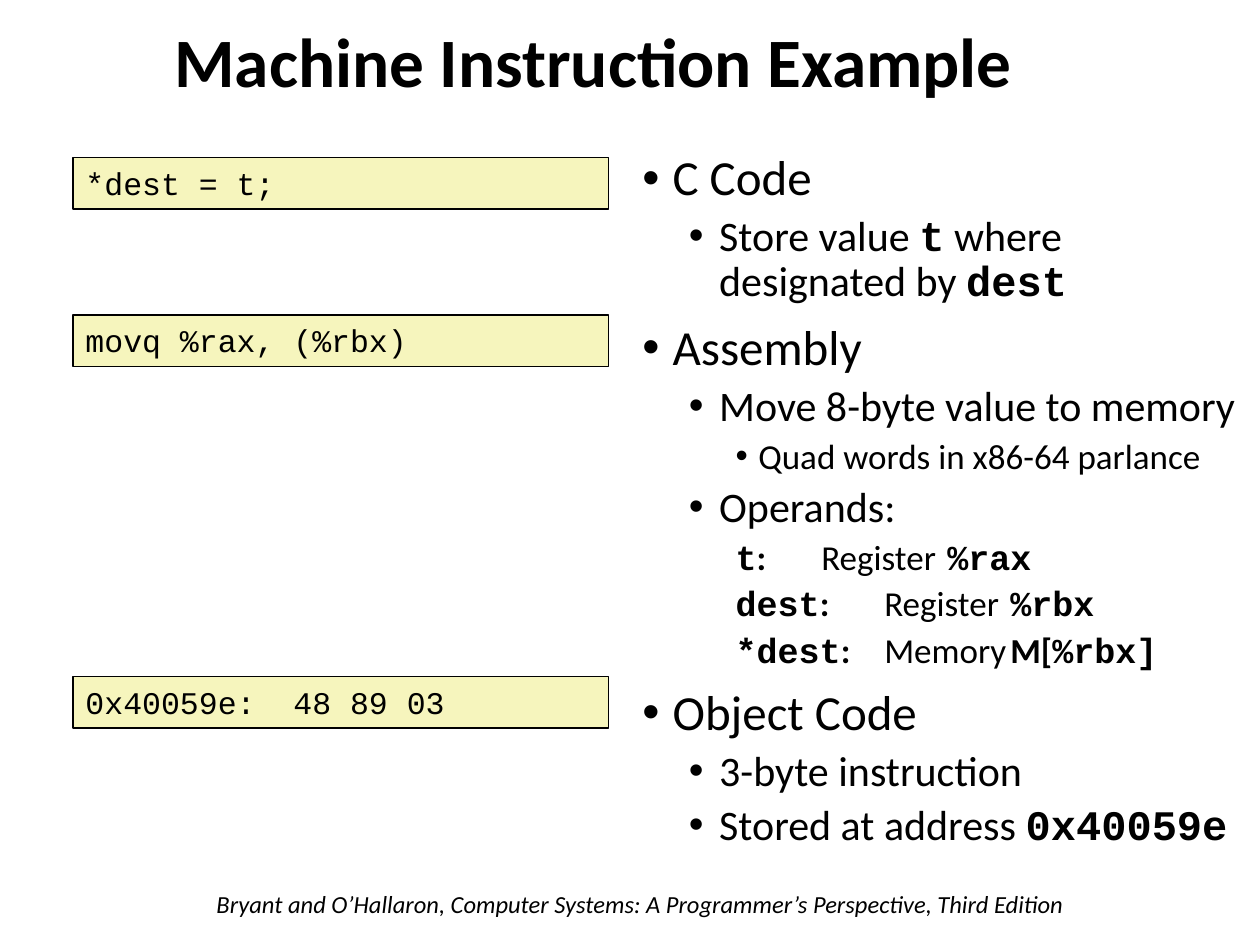
from pptx import Presentation
from pptx.dml.color import RGBColor
from pptx.enum.shapes import MSO_SHAPE
from pptx.enum.text import MSO_ANCHOR, PP_ALIGN
from pptx.oxml.ns import qn
from pptx.util import Inches, Pt
from lxml import etree

RECT = MSO_SHAPE.RECTANGLE
TOP, MIDDLE = MSO_ANCHOR.TOP, MSO_ANCHOR.MIDDLE
LEFT, CENTER = PP_ALIGN.LEFT, PP_ALIGN.CENTER
SANS, MONO = "Calibri", "Courier New"


def color(value):
    return RGBColor.from_string(value)


def add_run(p, text, size, font=SANS, bold=False, italic=False):
    r = p.add_run()
    r.text = text
    r.font.name, r.font.size = font, Pt(size)
    r.font.bold, r.font.italic = bold, italic
    r.font.color.rgb = color("000000")


prs = Presentation()
prs.slide_width, prs.slide_height = Inches(10), Inches(7.5)
s = prs.slides.add_slide(prs.slide_layouts[6])

# Footer citation
tf = s.shapes.add_textbox(Inches(1.62), Inches(7.01), Inches(7.1), Inches(0.34)).text_frame
tf.word_wrap = True
add_run(tf.paragraphs[0],
        "Bryant and O’Hallaron, Computer Systems: A Programmer’s Perspective, Third Edition",
        14, italic=True)

# Title
tf = s.shapes.add_textbox(Inches(0.74), Inches(0.2), Inches(7.94), Inches(0.63)).text_frame
tf.word_wrap = True
tf.vertical_anchor = MIDDLE
p = tf.paragraphs[0]
p.alignment, p.line_spacing = CENTER, 0.9
add_run(p, "Machine Instruction Example", 39.6, bold=True)

# Explanation: (level, bulleted, runs), each run being (text, font, bold)
points = [
    (0, True, [("C Code", SANS, False)]),
    (1, True, [("Store value ", SANS, False), ("t", MONO, True),
               (" where designated by ", SANS, False), ("dest", MONO, True)]),
    (0, True, [("Assembly", SANS, False)]),
    (1, True, [("Move 8-byte value to memory", SANS, False)]),
    (2, True, [("Quad words in x86-64 parlance", SANS, False)]),
    (1, True, [("Operands:", SANS, False)]),
    (2, False, [("t", MONO, True), (":\t", SANS, True),
                ("Register\t", SANS, False), ("%rax", MONO, True)]),
    (2, False, [("dest", MONO, True), (":", SANS, True),
                ("\tRegister\t", SANS, False), ("%rbx", MONO, True)]),
    (2, False, [("*dest", MONO, True), (":", SANS, True), (" \tMemory\t", SANS, False),
                ("M[", SANS, True), ("%rbx]", MONO, True)]),
    (0, True, [("Object Code", SANS, False)]),
    (1, True, [("3-byte instruction", SANS, False)]),
    (1, True, [("Stored at address ", SANS, False), ("0x40059e", MONO, True)]),
]
# Per level: text size, space before, left margin, hanging indent
levels = [(28, 10, 0.24, 0.24), (24, 5, 0.61, 0.24), (20, 5, 0.92, 0.18)]

tf = s.shapes.add_textbox(Inches(5), Inches(1.17), Inches(5), Inches(6.33)).text_frame
tf.word_wrap = True
for i, (level, bulleted, runs) in enumerate(points):
    p = tf.add_paragraph() if i else tf.paragraphs[0]
    size, before, margin, hang = levels[level]
    p.level, p.line_spacing, p.space_before = level, 0.9, Pt(before)
    pPr = p._p.get_or_add_pPr()
    pPr.set("marL", str(Inches(margin)))
    pPr.set("indent", str(-Inches(hang)))
    if bulleted:
        etree.SubElement(pPr, qn("a:buFont"), typeface="Arial")
        etree.SubElement(pPr, qn("a:buChar"), char="•")
    tabs = etree.SubElement(pPr, qn("a:tabLst"))
    for pos in (1.75, 2.75):
        etree.SubElement(tabs, qn("a:tab"), pos=str(Inches(pos)), algn="l")
    for text, font, bold in runs:
        add_run(p, text, size, font, bold)

# Code boxes
for top, code in [(1.25, "*dest = t;"), (2.5, "movq %rax, (%rbx)"),
                  (5.37, "0x40059e:  48 89 03")]:
    sp = s.shapes.add_shape(RECT, Inches(0.58), Inches(top), Inches(4.25), Inches(0.41))
    sp.shadow.inherit = False
    sp.fill.solid()
    sp.fill.fore_color.rgb = color("F6F5BD")
    sp.line.color.rgb = color("000000")
    sp.line.width = Pt(1)
    tf = sp.text_frame
    tf.vertical_anchor = TOP
    p = tf.paragraphs[0]
    p.alignment = LEFT
    add_run(p, code, 18, MONO)

prs.save("out.pptx")
